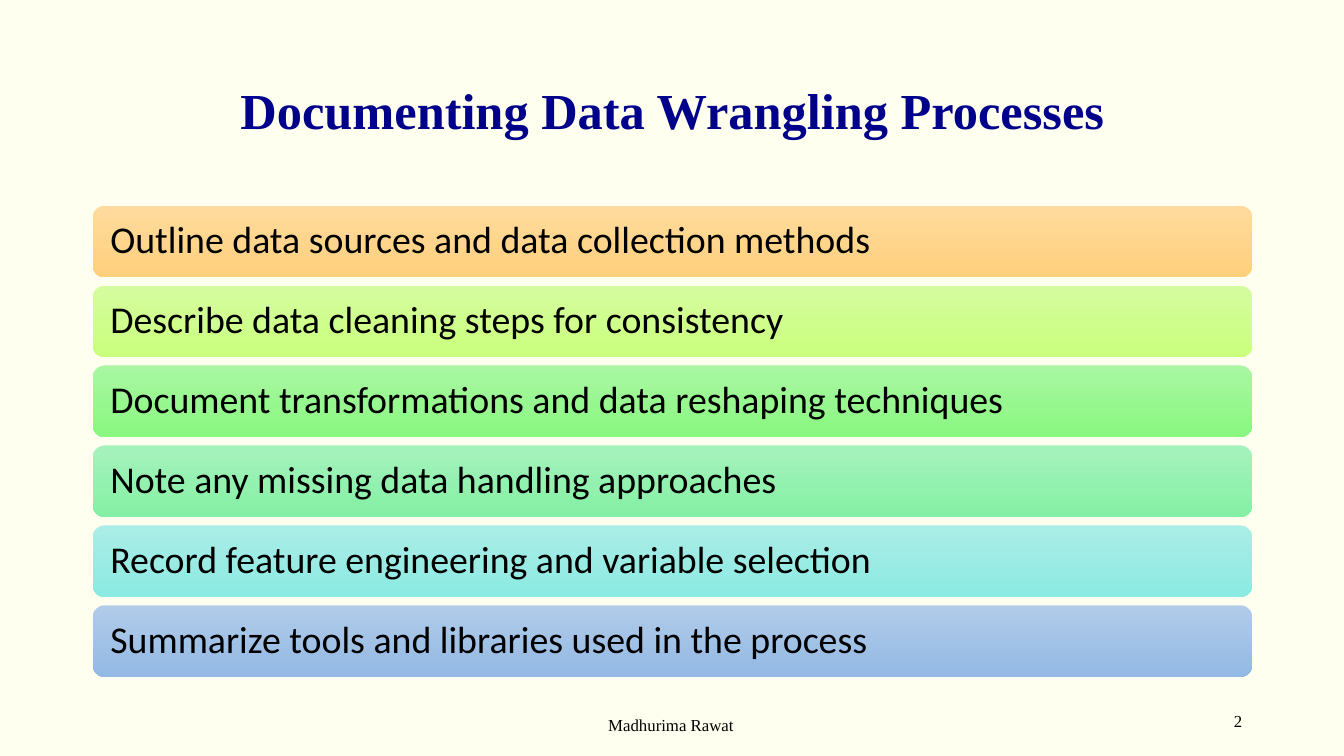
from dataclasses import dataclass

from pptx import Presentation
from pptx.dml.color import RGBColor
from pptx.enum.shapes import MSO_SHAPE
from pptx.enum.text import MSO_ANCHOR, PP_ALIGN
from pptx.util import Inches, Pt

ROUNDED = MSO_SHAPE.ROUNDED_RECTANGLE
MIDDLE = MSO_ANCHOR.MIDDLE
CENTER, RIGHT, JUSTIFY = PP_ALIGN.CENTER, PP_ALIGN.RIGHT, PP_ALIGN.JUSTIFY
BLANK_LAYOUT = 6


@dataclass(frozen=True)
class Theme:
    background: str = "FFFFF0"
    title_color: str = "00008B"
    text_color: str = "000000"
    heading_font: str = "Times New Roman"
    body_font: str = "Calibri"
    title_size: int = 36
    step_size: int = 27
    footer_size: int = 12
    line_spacing: float = 0.9


THEME = Theme()

SLIDE_WIDTH, SLIDE_HEIGHT = 13.33, 7.5
MARGIN = 0.92
CONTENT_WIDTH = 11.5
STEPS_TOP = 2.04
STEP_HEIGHT = 0.71
STEP_PITCH = 0.793
STEP_INSET = 0.14

# Wording, gradient top colour, gradient bottom colour
STEPS = [
    ("Outline data sources and data collection methods", "FFDB9E", "FFD07C"),
    ("Describe data cleaning steps for consistency", "D5FC9F", "CAFF7D"),
    ("Document transformations and data reshaping techniques", "A9F7A2", "89F780"),
    ("Note any missing data handling approaches", "A6F2BC", "84F0A4"),
    ("Record feature engineering and variable selection", "ABEDE7", "8BEAE2"),
    ("Summarize tools and libraries used in the process", "B1CBE9", "93B9E4"),
]


def write(frame, wording, font, size, color, align, bold=False, spacing=1.0):
    frame.word_wrap = True
    frame.vertical_anchor = MIDDLE
    paragraph = frame.paragraphs[0]
    paragraph.text = wording
    paragraph.alignment = align
    paragraph.line_spacing = spacing
    paragraph.font.name = font
    paragraph.font.size = Pt(size)
    paragraph.font.bold = bold
    paragraph.font.color.rgb = RGBColor.from_string(color)


def add_label(slide, box, wording, size, color, align, **style):
    label = slide.shapes.add_textbox(*map(Inches, box))
    write(label.text_frame, wording, THEME.heading_font, size, color, align, **style)


def fill_downwards(shape, top_color, bottom_color):
    shape.fill.gradient()
    shape.fill.gradient_angle = 270
    for stop, color, position in zip(
        shape.fill.gradient_stops, (top_color, bottom_color), (0, 1)
    ):
        stop.color.rgb = RGBColor.from_string(color)
        stop.position = position


def add_step(slide, row, wording, top_color, bottom_color):
    top = STEPS_TOP + row * STEP_PITCH
    bar = slide.shapes.add_shape(
        ROUNDED, *map(Inches, (MARGIN, top, CONTENT_WIDTH, STEP_HEIGHT))
    )
    bar.shadow.inherit = False
    bar.line.fill.background()
    fill_downwards(bar, top_color, bottom_color)
    frame = bar.text_frame
    frame.margin_left = frame.margin_right = Inches(STEP_INSET)
    write(frame, wording, THEME.body_font, THEME.step_size, THEME.text_color,
          JUSTIFY, spacing=THEME.line_spacing)


def main():
    deck = Presentation()
    deck.slide_width = Inches(SLIDE_WIDTH)
    deck.slide_height = Inches(SLIDE_HEIGHT)
    slide = deck.slides.add_slide(deck.slide_layouts[BLANK_LAYOUT])
    slide.background.fill.solid()
    slide.background.fill.fore_color.rgb = RGBColor.from_string(THEME.background)

    add_label(slide, (MARGIN, 0.4, CONTENT_WIDTH, 1.45),
              "Documenting Data Wrangling Processes", THEME.title_size,
              THEME.title_color, CENTER, bold=True, spacing=THEME.line_spacing)
    for row, step in enumerate(STEPS):
        add_step(slide, row, *step)
    add_label(slide, (3.6, 7.03, 6.11, 0.32), "Madhurima Rawat",
              THEME.footer_size, THEME.text_color, CENTER)
    add_label(slide, (9.42, 6.95, 3, 0.4), "2",
              THEME.footer_size, THEME.text_color, RIGHT)

    deck.save("out.pptx")


if __name__ == "__main__":
    main()
